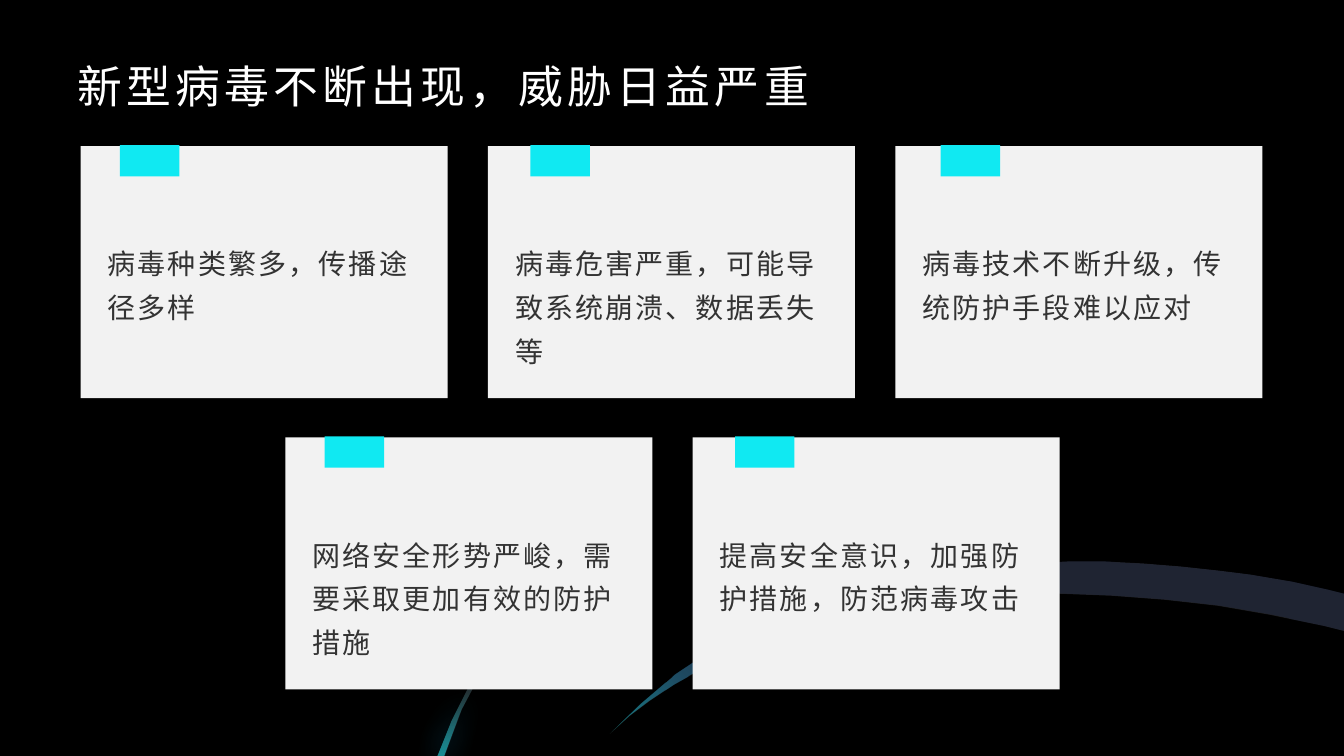
from lxml.etree import SubElement
from pptx import Presentation
from pptx.dml.color import RGBColor
from pptx.enum.shapes import MSO_SHAPE as Shape
from pptx.enum.text import MSO_ANCHOR as Anchor
from pptx.oxml.ns import qn
from pptx.util import Inches, Pt

COLORS = {
    "background": "000000", "title": "FFFFFF", "card": "F2F2F2", "text": "333333",
    "cyan": "10E9F2", "blue": "3366FF", "glow": "1EB5F7",
    "band": "1E1D1B", "blade": "252D30",
}
TITLE = "新型病毒不断出现，威胁日益严重"
ROWS = [
    {"left": 0.8, "top": 1.45, "texts": [
        "病毒种类繁多，传播途径多样",
        "病毒危害严重，可能导致系统崩溃、数据丢失等",
        "病毒技术不断升级，传统防护手段难以应对"]},
    {"left": 2.83, "top": 4.34, "texts": [
        "网络安全形势严峻，需要采取更加有效的防护措施",
        "提高安全意识，加强防护措施，防范病毒攻击"]},
]
CARD_SIZE = (3.64, 2.5)
CARD_PITCH = 4.04
TAB_OFFSET = (0.39, -0.01)
TAB_SIZE = (0.59, 0.31)
TAB_PITCH = 4.07
TEXT_OFFSET = (0.17, 0.85)
TEXT_SIZE = (3.27, 1.46)
TITLE_STYLE = {"size": Pt(32), "name": "Roboto"}
CARD_STYLE = {"size": Pt(20), "name": "Karla"}

BAND = [
    (6.05, 7.28), (6.36, 6.98), (6.7, 6.69), (7.09, 6.43), (7.54, 6.2), (8.06, 5.99),
    (8.61, 5.83), (9.2, 5.7), (9.82, 5.62), (10.2, 5.59), (10.59, 5.57), (10.96, 5.57),
    (11.34, 5.59), (11.71, 5.62), (12.08, 5.66), (12.4, 5.7), (12.81, 5.77),
    (13.17, 5.85), (13.33, 5.89), (13.33, 6.26), (13.13, 6.21), (12.6, 6.1),
    (12.08, 6.01), (11.55, 5.95), (11.02, 5.91), (10.5, 5.89), (10, 5.9), (9.53, 5.94),
    (9.06, 5.99), (8.62, 6.07), (8.19, 6.17), (7.85, 6.26), (7.52, 6.38), (7.22, 6.51),
    (6.94, 6.65), (6.69, 6.79), (6.45, 6.95), (6.25, 7.1),
]
BLADE = [
    (5.26, 6.03), (5.02, 6.3), (4.79, 6.64), (4.58, 7.04), (4.41, 7.5), (4.34, 7.5),
    (4.48, 7.15), (4.65, 6.81), (4.87, 6.47), (5.08, 6.21),
]
ARCS = [
    {"points": BAND, "base": "band", "angle": 315, "glow": False,
     "stops": [(0, "cyan", 50), (31, "blue", 10)]},
    {"points": BLADE, "base": "blade", "angle": 90, "glow": True,
     "stops": [(55, "cyan", 0), (100, "cyan", 50)]},
]


def rgb(name):
    return RGBColor.from_string(COLORS[name])


def add_color(parent, name, alpha):
    color = SubElement(parent, qn("a:srgbClr"), val=COLORS[name])
    SubElement(color, qn("a:alpha"), val=str(alpha * 1000))


def paint(shape, name):
    shape.fill.solid()
    shape.fill.fore_color.rgb = rgb(name)
    shape.line.fill.background()
    shape.shadow.inherit = False


def add_outline(page, points, name):
    corners = [(Inches(x), Inches(y)) for x, y in points]
    builder = page.shapes.build_freeform(*corners[0])
    builder.add_line_segments(corners[1:], close=True)
    outline = builder.convert_to_shape()
    paint(outline, name)
    return outline


def add_arc(page, arc):
    add_outline(page, arc["points"], arc["base"])
    overlay = add_outline(page, arc["points"], arc["base"])
    overlay.fill.gradient()
    gradient = overlay._element.spPr.find(qn("a:gradFill"))
    for child in list(gradient):
        gradient.remove(child)
    stops = SubElement(gradient, qn("a:gsLst"))
    for position, name, alpha in arc["stops"]:
        add_color(SubElement(stops, qn("a:gs"), pos=str(position * 1000)), name, alpha)
    SubElement(gradient, qn("a:lin"), ang=str(arc["angle"] * 60000), scaled="0")
    if arc["glow"]:
        effects = overlay._element.spPr.find(qn("a:effectLst"))
        glow = SubElement(effects, qn("a:outerShdw"), blurRad=str(Pt(20)), dist="0", dir="0")
        add_color(glow, "glow", 100)


def add_rectangle(page, left, top, size, name):
    box = page.shapes.add_shape(
        Shape.RECTANGLE, Inches(left), Inches(top), *map(Inches, size))
    paint(box, name)


def add_text(page, left, top, size, text, style, color, tracking):
    box = page.shapes.add_textbox(Inches(left), Inches(top), *map(Inches, size))
    box.text_frame.word_wrap = True
    para = box.text_frame.paragraphs[0]
    span = para.add_run()
    span.text = text
    for key, value in style.items():
        setattr(span.font, key, value)
    span.font.color.rgb = rgb(color)
    span.font._element.set("spc", str(tracking))
    return box.text_frame, para


def add_card(page, row, column, text):
    left, top = row["left"] + column * CARD_PITCH, row["top"]
    add_rectangle(page, left, top, CARD_SIZE, "card")
    add_rectangle(page, row["left"] + TAB_OFFSET[0] + column * TAB_PITCH,
                  top + TAB_OFFSET[1], TAB_SIZE, "cyan")
    frame, para = add_text(page, left + TEXT_OFFSET[0], top + TEXT_OFFSET[1],
                           TEXT_SIZE, text, CARD_STYLE, "text", 150)
    para.line_spacing = 1.3


def main():
    deck = Presentation()
    deck.slide_width, deck.slide_height = Inches(13.33), Inches(7.5)
    page = deck.slides.add_slide(deck.slide_layouts[6])
    page.background.fill.solid()
    page.background.fill.fore_color.rgb = rgb("background")
    for arc in ARCS:
        add_arc(page, arc)
    frame, para = add_text(page, 0.67, 0.5, (12, 0.62), TITLE, TITLE_STYLE, "title", 300)
    frame.vertical_anchor = Anchor.BOTTOM
    frame.margin_top = frame.margin_bottom = 0
    for row in ROWS:
        for column, text in enumerate(row["texts"]):
            add_card(page, row, column, text)
    deck.save("out.pptx")


if __name__ == "__main__":
    main()
